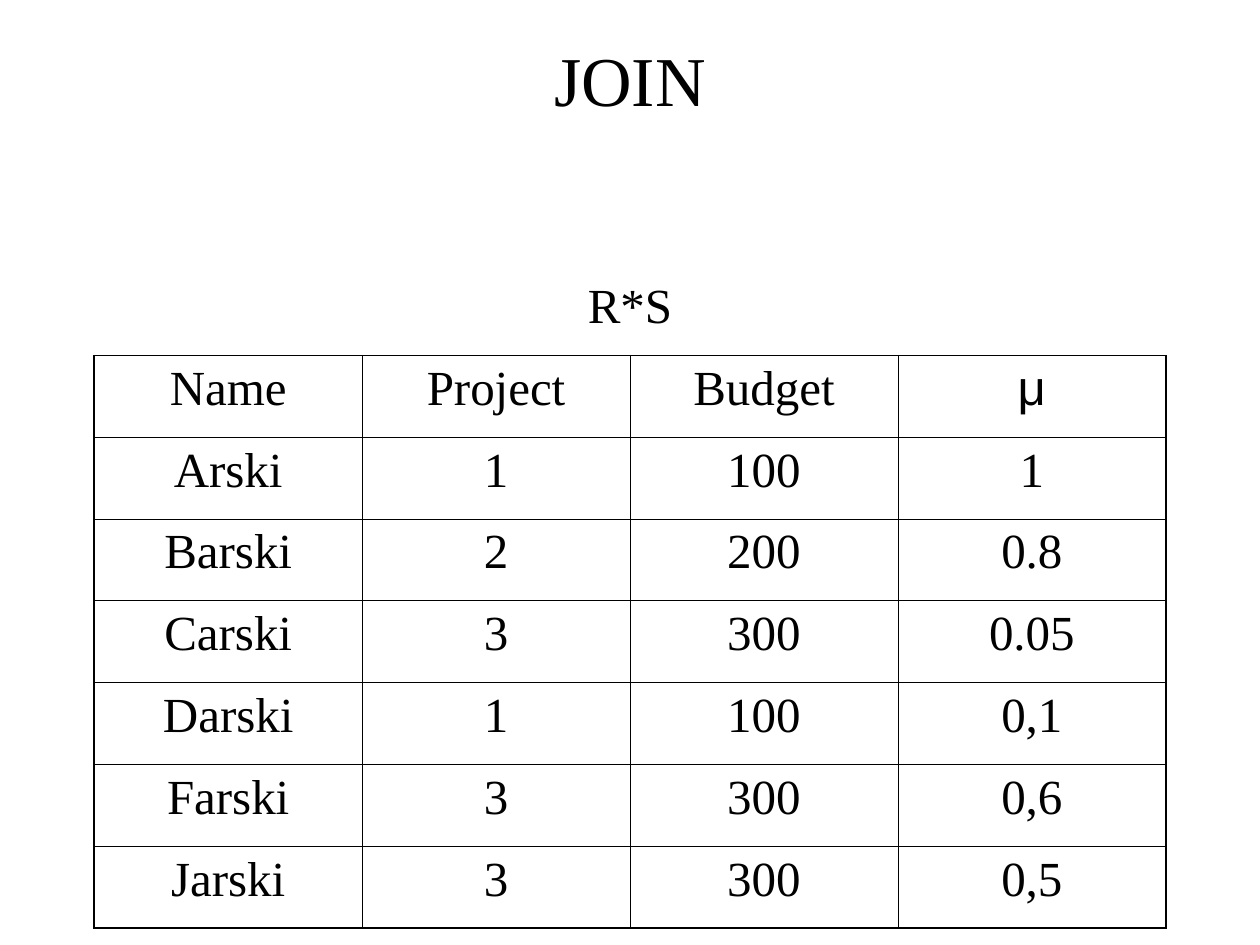
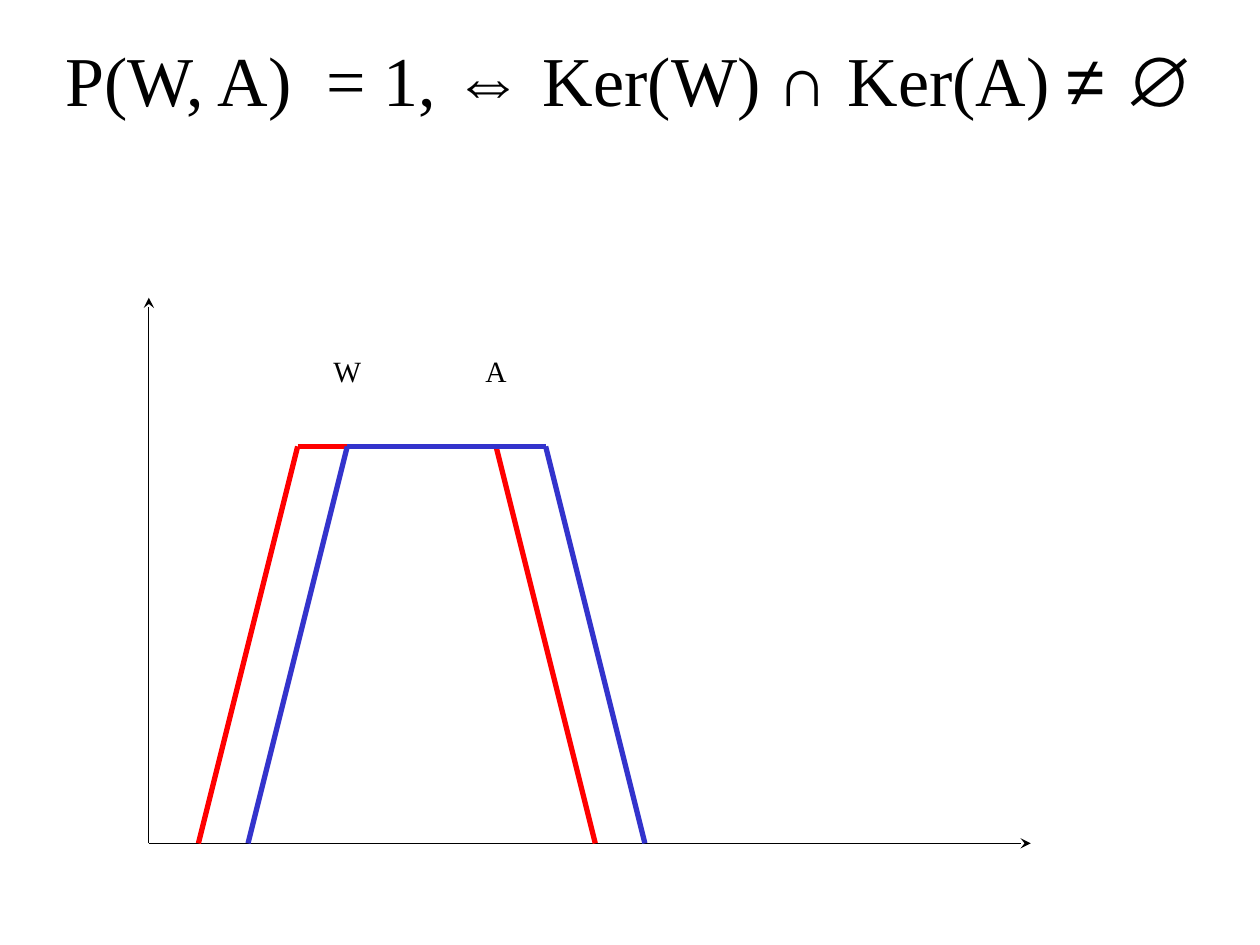
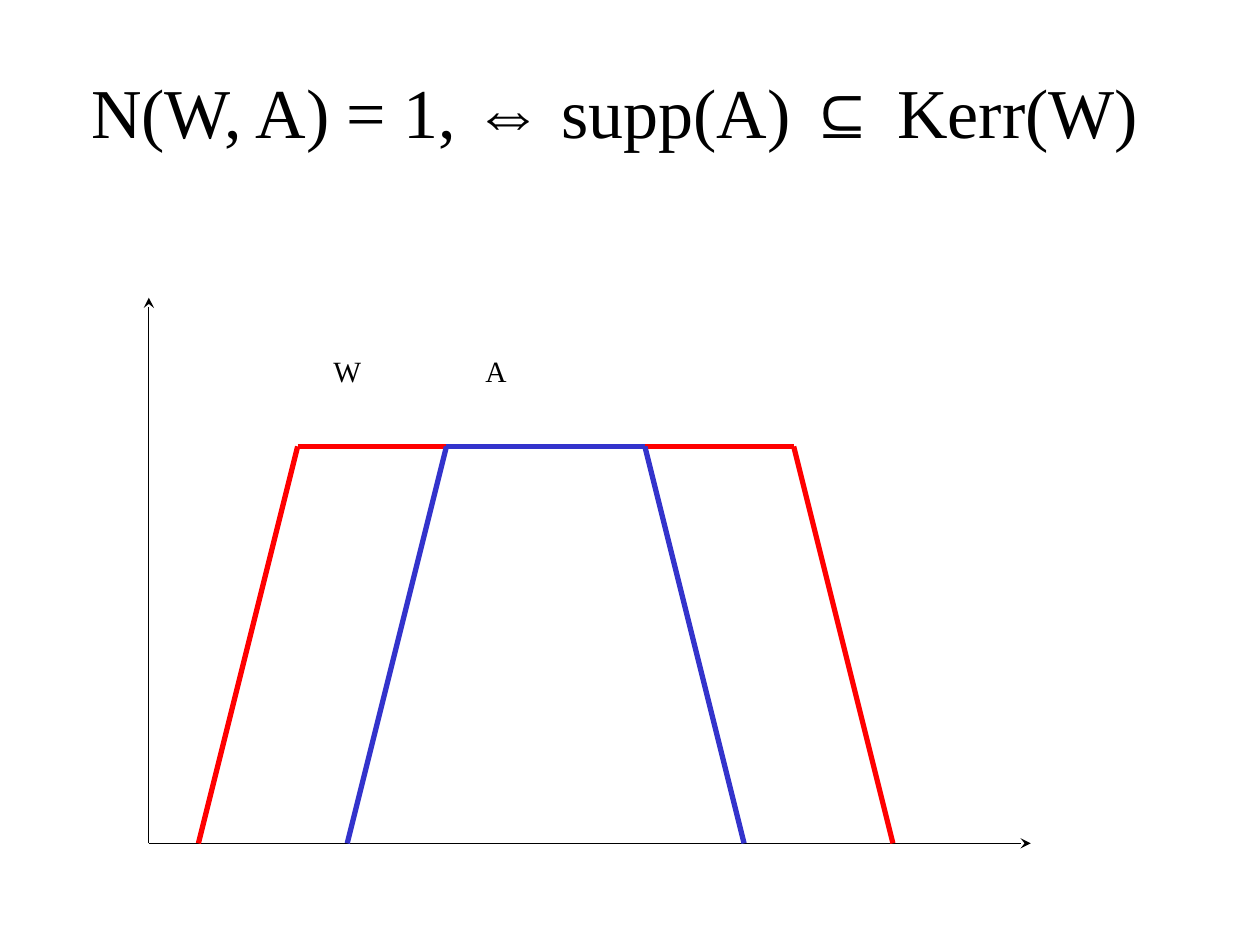
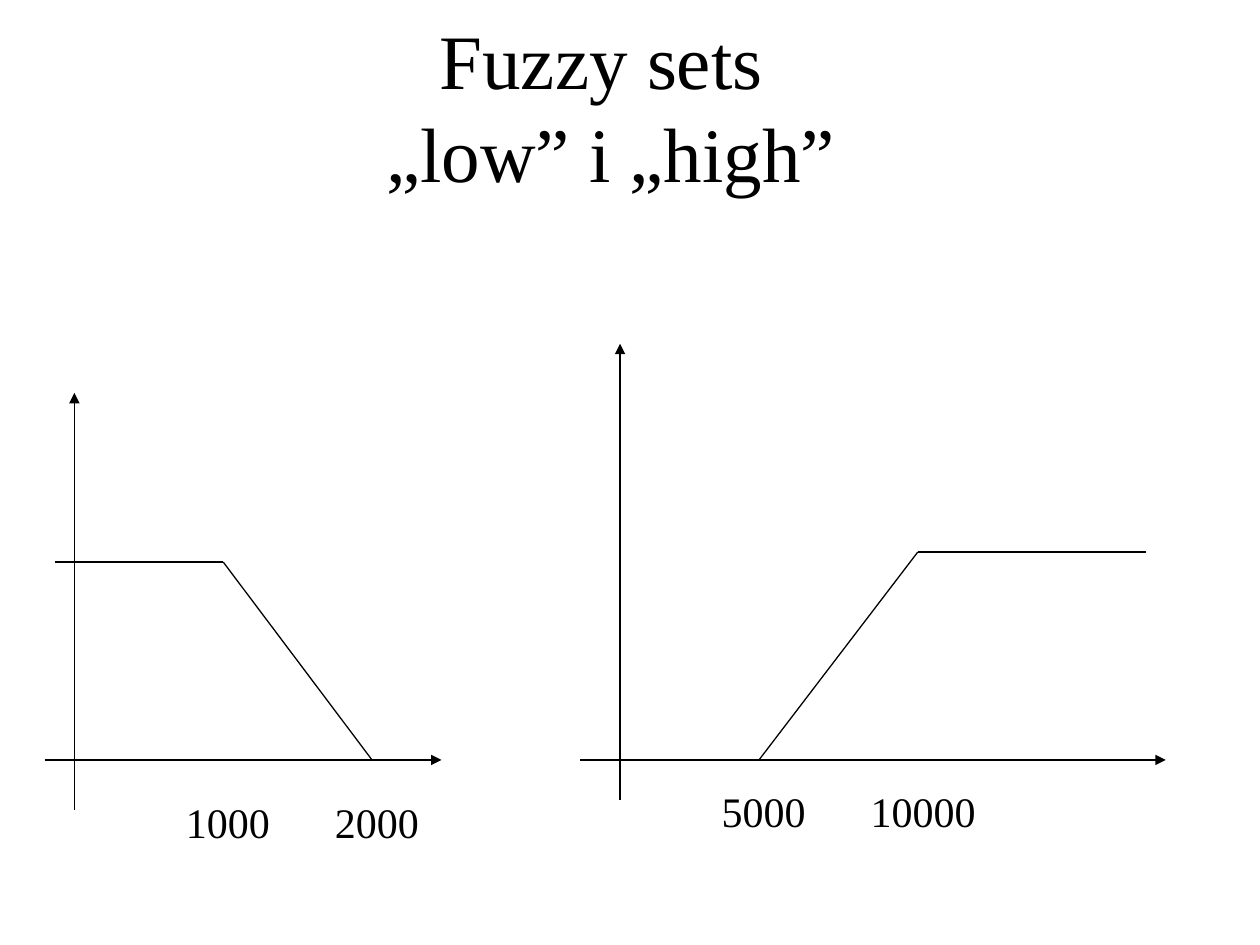
from dataclasses import dataclass
from typing import NamedTuple

from lxml import etree
from pptx import Presentation, util as u
from pptx.dml.color import RGBColor
from pptx.enum import shapes, text
from pptx.oxml import ns


# Colours, fonts, type sizes and line weights
@dataclass(frozen=True)
class Theme:
    ink: str = "000000"
    red: str = "FF0000"
    blue: str = "3333CC"
    serif: str = "Times New Roman"
    sans: str = "Arial"
    title: float = 40
    cover: float = 44
    cell: float = 28
    value: float = 24
    label: float = 16.8
    thin: float = 0.75
    bold: float = 3
    rule: float = 0.45
    frame: float = 1.08


T = Theme()

# The grid has one-centimetre columns and rows
COLS, ROWS = 25.4, 19.05
BASE, PEAK = 17, 9  # axis and plateau rows of the trapezoid charts
FLOOR = 15.32  # axis row of the ramp charts


class Point(NamedTuple):
    x: float
    y: float


class Box(NamedTuple):
    x: float
    y: float
    w: float
    h: float


class Label(NamedTuple):
    words: str
    box: Box


class Trap(NamedTuple):
    """Columns of a trapezoid: left foot, plateau ends, right foot."""
    foot: float
    rise: float
    drop: float
    end: float
    color: str


class Ramp(NamedTuple):
    axis: float
    low: float
    top: float
    left: float
    right: float
    curve: tuple[Point, ...]
    labels: tuple[Label, ...]


def size(n: float) -> u.Length:
    return u.Cm(n)


def style(para, pts: float, face: str = T.serif, align=text.PP_ALIGN.CENTER) -> None:
    para.alignment = align
    para.font.size = u.Pt(pts)
    para.font.name = face
    para.font.color.rgb = RGBColor.from_string(T.ink)


def write(slide, box: Box, runs: list[str], pts: float,
          anchor=text.MSO_ANCHOR.TOP, align=text.PP_ALIGN.CENTER) -> None:
    """Write runs that alternate between the serif and the sans face."""
    frame = slide.shapes.add_textbox(*map(size, box)).text_frame
    frame.word_wrap = True
    frame.vertical_anchor = anchor
    para = frame.paragraphs[0]
    if len(runs) == 1:
        para.text = runs[0]
    else:
        for i, words in enumerate(runs):
            run = para.add_run()
            run.text = words
            run.font.name = T.sans if i % 2 else T.serif
    style(para, pts, align=align)


def title(slide, box: Box, runs: list[str], pts: float = T.title) -> None:
    write(slide, box, runs, pts, text.MSO_ANCHOR.MIDDLE)


def line(slide, a: Point, b: Point, color: str = T.ink,
         width: float = T.thin, arrow: str = "") -> None:
    link = slide.shapes.add_connector(shapes.MSO_CONNECTOR.STRAIGHT, *map(size, a + b))
    link.line.color.rgb = RGBColor.from_string(color)
    link.line.width = u.Pt(width)
    props = link._element.spPr
    if arrow:
        etree.SubElement(props.find(ns.qn("a:ln")), ns.qn("a:tailEnd"), type=arrow)
    etree.SubElement(props, ns.qn("a:effectLst"))


def trace(slide, points: tuple[Point, ...], color: str = T.ink,
          width: float = T.thin) -> None:
    for a, b in zip(points, points[1:]):
        line(slide, a, b, color, width)


# Table parts
def edge(cell, side: str, width: float) -> None:
    props = cell._tc.get_or_add_tcPr()
    ln = etree.SubElement(props, ns.qn(f"a:ln{side}"), w=str(int(u.Pt(width))))
    if width:
        fill = etree.SubElement(ln, ns.qn("a:solidFill"))
        etree.SubElement(fill, ns.qn("a:srgbClr"), val=T.ink)
    else:
        etree.SubElement(ln, ns.qn("a:noFill"))


def grid(slide, spot: Point, col: float, row: float,
         head: str, data: list[list[str]]) -> None:
    """Draw a ruled table below a merged, unframed heading row."""
    wide, high = len(data[0]), len(data) + 1
    table = slide.shapes.add_table(
        high, wide, *map(size, (*spot, col * wide, row * high))).table
    table.first_row = table.horz_banding = False
    for c in table.columns:
        c.width = size(col)
    for r in table.rows:
        r.height = size(row)
    table.cell(0, 0).merge(table.cell(0, wide - 1))
    for r, words in enumerate([[head] + [""] * (wide - 1), *data]):
        for c, word in enumerate(words):
            cell = table.cell(r, c)
            inner = T.rule if r else 0
            edge(cell, "L", T.frame if r and c == 0 else inner)
            edge(cell, "R", T.frame if r and c == wide - 1 else inner)
            edge(cell, "T", inner)
            edge(cell, "B", T.frame if r == high - 1 else T.rule)
            cell.fill.background()
            if word:
                para = cell.text_frame.paragraphs[0]
                para.text = word
                style(para, T.cell, T.sans if word == "μ" else T.serif)


# Charts of fuzzy sets
def plot(slide, traps: list[Trap]) -> None:
    zero = Point(3, BASE)
    line(slide, zero, Point(3, 6), arrow="stealth")
    line(slide, zero, Point(20.78, BASE), arrow="stealth")
    for t in traps:
        trace(slide, (Point(t.foot, BASE), Point(t.rise, PEAK),
                      Point(t.drop, PEAK), Point(t.end, BASE)), t.color, T.bold)
    for word, col in (("W", 6), ("A", 9)):
        write(slide, Box(col, 7, 2, 1), [word], T.label)


def slope(slide, ramp: Ramp) -> None:
    line(slide, Point(ramp.axis, ramp.low), Point(ramp.axis, ramp.top), arrow="triangle")
    line(slide, Point(ramp.left, FLOOR), Point(ramp.right, FLOOR), arrow="triangle")
    trace(slide, ramp.curve)
    for label in ramp.labels:
        write(slide, label.box, [label.words], T.value, align=text.PP_ALIGN.LEFT)


JOINED = [
    ["Name", "Project", "Budget", "μ"],
    ["Arski", "1", "100", "1"],
    ["Barski", "2", "200", "0.8"],
    ["Carski", "3", "300", "0.05"],
    ["Darski", "1", "100", "0,1"],
    ["Farski", "3", "300", "0,6"],
    ["Jarski", "3", "300", "0,5"],
]

LOW = Ramp(
    1.5, 16.33, 7.92, 0.9, 8.9,
    (Point(1.1, 11.33), Point(4.5, 11.33), Point(7.5, FLOOR)),
    (Label("1000", Box(3.5, 15.93, 2.6, 1.27)),
     Label("2000", Box(6.5, 15.93, 2.6, 1.27))))
HIGH = Ramp(
    12.5, 16.13, 6.93, 11.7, 23.5,
    (Point(15.3, FLOOR), Point(18.5, 11.13), Point(23.1, 11.13)),
    (Label("5000", Box(14.3, 15.72, 2.6, 1.27)),
     Label("10000", Box(17.3, 15.72, 3.8, 1.27))))


def main() -> None:
    deck = Presentation()
    deck.slide_width, deck.slide_height = size(COLS), size(ROWS)
    join, poss, need, sets = (
        deck.slides.add_slide(deck.slide_layouts[6]) for _ in range(4))
    band = ROWS / 6  # height of a title

    # Join of two fuzzy relations
    title(join, Box(1.9, 0, 21.6, band), ["JOIN"])
    grid(join, Point(1.9, 5.51), 5.4, 1.65, "R*S", JOINED)

    # Possibility
    title(poss, Box(0, 0, COLS, band),
          ["P(W, A)  = 1, ", "⇔ ", "Ker(W) ", "∩ ", "Ker(A) ", "≠ ∅"])
    plot(poss, [Trap(4, 6, 10, 12, T.red), Trap(5, 7, 11, 13, T.blue)])

    # Necessity
    title(need, Box(0.64, 0.64, 23.5, band),
          ["N(W, A) = 1, ", "⇔", " supp(A) ", "⊆ ", "Kerr(W)"])
    plot(need, [Trap(4, 6, 16, 18, T.red), Trap(7, 9, 13, 15, T.blue)])

    # Low and high
    title(sets, Box(1.1, 0, 22.43, 4.24), ["Fuzzy sets \v„low” i „high”"], T.cover)
    for ramp in (LOW, HIGH):
        slope(sets, ramp)

    deck.save("out.pptx")


if __name__ == "__main__":
    main()
